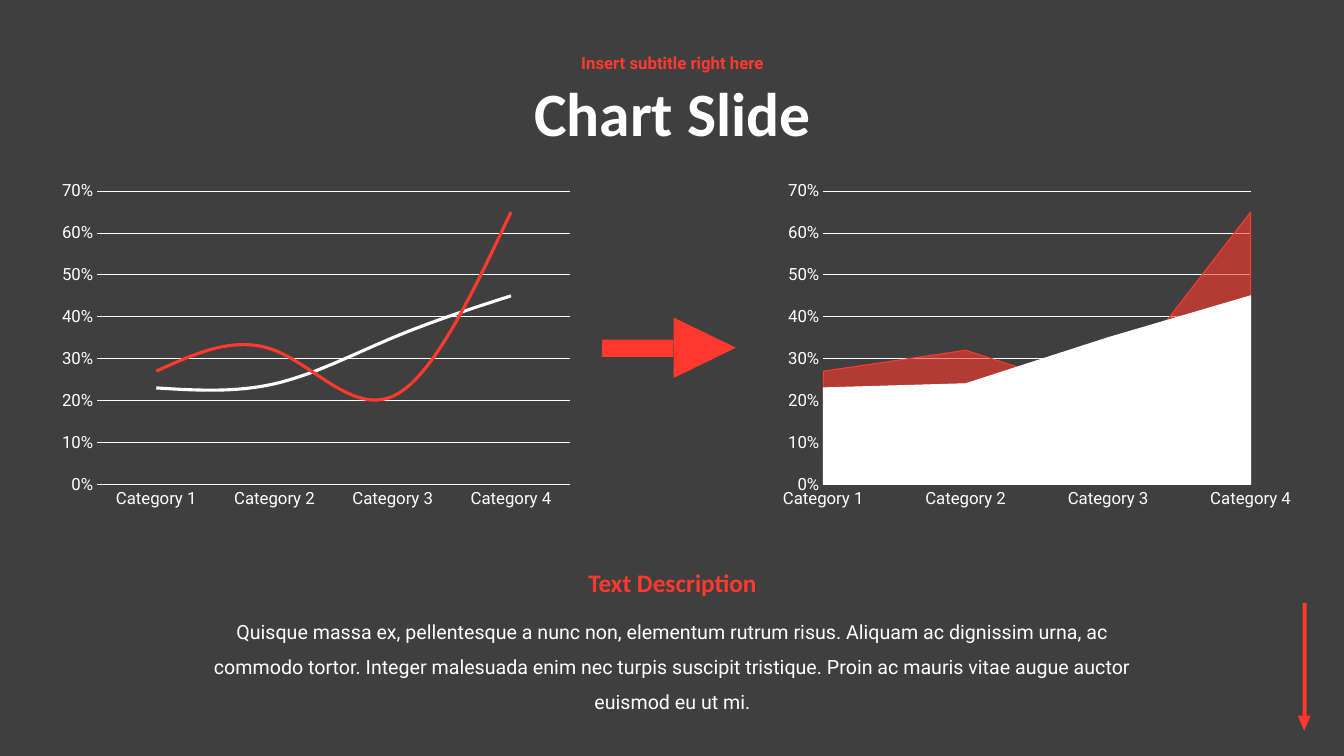
from dataclasses import dataclass

from lxml import etree
from pptx import Presentation
from pptx.chart.data import CategoryChartData
from pptx.dml.color import RGBColor
from pptx.enum.chart import XL_CHART_TYPE, XL_TICK_MARK
from pptx.enum.shapes import MSO_SHAPE
from pptx.enum.text import MSO_ANCHOR, MSO_AUTO_SIZE, PP_ALIGN
from pptx.oxml.ns import qn
from pptx.util import Inches, Pt


@dataclass(frozen=True)
class Theme:
    background: RGBColor = RGBColor(0x3F, 0x3F, 0x3F)
    accent: RGBColor = RGBColor(0xFF, 0x39, 0x2E)
    light: RGBColor = RGBColor(0xFF, 0xFF, 0xFF)
    heading_font: str = "Calibri"
    body_font: str = "Roboto"
    title: int = 44
    heading: int = 18
    body: int = 14
    small: int = 12
    chart: int = 10
    hairline: float = 0.75
    curve: float = 2.25


THEME = Theme()

TITLE = "Chart Slide"
SUBTITLE = "Insert subtitle right here"
HEADING = "Text Description"
DESCRIPTION = (
    "Quisque massa ex, pellentesque a nunc non, elementum rutrum risus. "
    "Aliquam ac dignissim urna, ac commodo tortor. Integer malesuada enim nec "
    "turpis suscipit tristique. Proin ac mauris vitae augue auctor euismod eu ut mi."
)
CATEGORIES = ["Category 1", "Category 2", "Category 3", "Category 4"]
SERIES = [
    ("Series 1", (0.23, 0.24, 0.35, 0.45), THEME.light),
    ("Series 2", (0.27, 0.32, 0.21, 0.65), THEME.accent),
]
AREA_OPACITY = {"Series 2": 60}

# left, top, width, height in inches
TITLE_BOX = (2.92, 0.64, 7.5, 1.03)
SUBTITLE_BOX = (2.92, 0.45, 7.5, 0.38)
HEADING_BOX = (5.21, 5.58, 2.92, 0.4)
DESCRIPTION_BOX = (1.92, 5.98, 9.5, 0.77)
CHART_LEFTS = {XL_CHART_TYPE.LINE: 0.51, XL_CHART_TYPE.AREA: 7.66}
CHART_TOP, CHART_WIDTH, CHART_HEIGHT = 1.73, 5.25, 3.38

# shaft box, head box before turning, head rotation
DOWN_ARROW = ((12.92, 5.98, 0.04, 1.12), (12.87, 7.1, 0.13, 0.15), 180)
RIGHT_ARROW = ((5.97, 3.37, 0.71, 0.17), (6.69, 3.14, 0.6, 0.62), 90)


def inches(box):
    return [Inches(length) for length in box]


def style_font(font, size, color=THEME.light, name=THEME.body_font, bold=False):
    font.size = Pt(size)
    font.name = name
    font.bold = bold
    font.color.rgb = color


def write(frame, text, size, color, name, bold=False, spacing=1.0,
          anchor=MSO_ANCHOR.TOP, fit=MSO_AUTO_SIZE.NONE):
    frame.word_wrap = True
    frame.auto_size = fit
    frame.vertical_anchor = anchor
    frame.text = text
    paragraph = frame.paragraphs[0]
    paragraph.alignment = PP_ALIGN.CENTER
    paragraph.line_spacing = spacing
    style_font(paragraph.font, size, color, name, bold)


def add_text(slide, box, *args, **kwargs):
    write(slide.shapes.add_textbox(*inches(box)).text_frame, *args, **kwargs)


def add_arrow(slide, shaft, head, rotation):
    parts = [(MSO_SHAPE.RECTANGLE, shaft, 0),
             (MSO_SHAPE.ISOSCELES_TRIANGLE, head, rotation)]
    for preset, box, turn in parts:
        part = slide.shapes.add_shape(preset, *inches(box))
        part.rotation = turn
        part.shadow.inherit = False
        part.fill.solid()
        part.fill.fore_color.rgb = THEME.accent
        part.line.fill.background()


def style_line(line, color, width):
    line.color.rgb = color
    line.width = Pt(width)


def set_opacity(series, percent):
    color = series.format.fill._xPr.find(qn("a:solidFill")).find(qn("a:srgbClr"))
    etree.SubElement(color, qn("a:alpha")).set("val", str(percent * 1000))


def style_axes(chart):
    for axis in (chart.category_axis, chart.value_axis):
        axis.major_tick_mark = axis.minor_tick_mark = XL_TICK_MARK.NONE
        style_font(axis.tick_labels.font, THEME.small)
    style_line(chart.category_axis.format.line, THEME.light, THEME.hairline)
    values = chart.value_axis
    values.minimum_scale, values.maximum_scale, values.major_unit = 0, 0.7, 0.1
    values.tick_labels.number_format = "0%"
    values.tick_labels.number_format_is_linked = False
    values.format.line.fill.background()
    values.has_major_gridlines = True
    style_line(values.major_gridlines.format.line, THEME.light, THEME.hairline)


def add_trend_chart(slide, chart_type, left):
    data = CategoryChartData(number_format="0%")
    data.categories = CATEGORIES
    for name, values, _ in SERIES:
        data.add_series(name, values)
    box = inches((left, CHART_TOP, CHART_WIDTH, CHART_HEIGHT))
    chart = slide.shapes.add_chart(chart_type, *box, data).chart
    chart.has_title = chart.has_legend = False
    style_font(chart.font, THEME.chart)
    style_axes(chart)
    plot = chart.plots[0]
    plot.vary_by_categories = False
    for series, (name, _, color) in zip(plot.series, SERIES):
        if chart_type == XL_CHART_TYPE.LINE:
            series.smooth = True
            style_line(series.format.line, color, THEME.curve)
            continue
        style_line(series.format.line, color, THEME.hairline)
        series.format.fill.solid()
        series.format.fill.fore_color.rgb = color
        if name in AREA_OPACITY:
            set_opacity(series, AREA_OPACITY[name])


def main():
    deck = Presentation()
    deck.slide_width, deck.slide_height = Inches(13.33), Inches(7.5)
    slide = deck.slides.add_slide(deck.slide_layouts[5])
    slide.background.fill.solid()
    slide.background.fill.fore_color.rgb = THEME.background

    title = slide.shapes.title
    title.left, title.top, title.width, title.height = inches(TITLE_BOX)
    write(title.text_frame, TITLE, THEME.title, THEME.light, THEME.heading_font,
          bold=True, spacing=0.9, anchor=MSO_ANCHOR.MIDDLE)
    add_text(slide, SUBTITLE_BOX, SUBTITLE, THEME.small, THEME.accent,
             THEME.body_font, bold=True, spacing=0.9, anchor=MSO_ANCHOR.MIDDLE)

    for chart_type, left in CHART_LEFTS.items():
        add_trend_chart(slide, chart_type, left)
    for arrow in (DOWN_ARROW, RIGHT_ARROW):
        add_arrow(slide, *arrow)

    grow = MSO_AUTO_SIZE.SHAPE_TO_FIT_TEXT
    add_text(slide, DESCRIPTION_BOX, DESCRIPTION, THEME.body, THEME.light,
             THEME.body_font, spacing=1.5, fit=grow)
    add_text(slide, HEADING_BOX, HEADING, THEME.heading, THEME.accent,
             THEME.heading_font, bold=True, fit=grow)
    deck.save("out.pptx")


if __name__ == "__main__":
    main()
